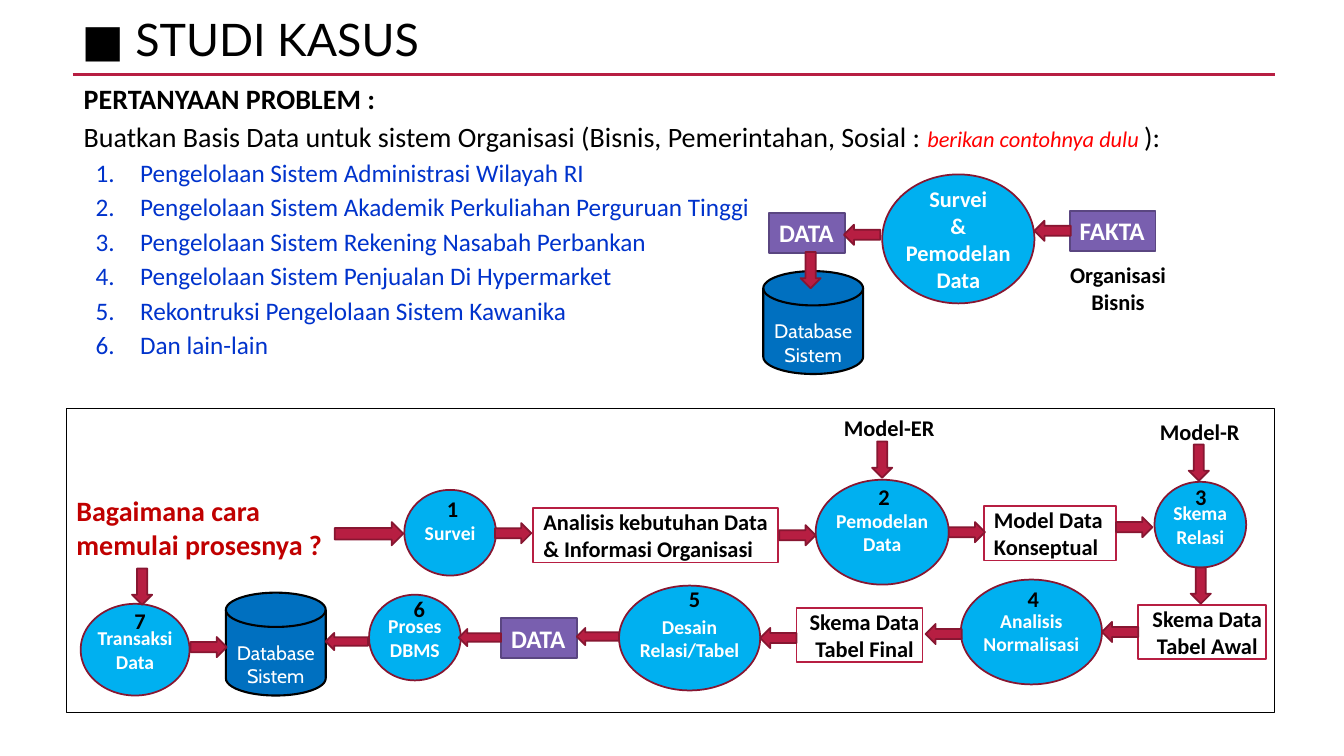
from lxml import etree
from pptx import Presentation
from pptx.dml.color import RGBColor
from pptx.enum.shapes import MSO_CONNECTOR, MSO_SHAPE
from pptx.enum.text import MSO_ANCHOR, MSO_AUTO_SIZE, PP_ALIGN
from pptx.oxml.ns import qn
from pptx.util import Pt

RECT, OVAL = MSO_SHAPE.RECTANGLE, MSO_SHAPE.OVAL
DISK = MSO_SHAPE.FLOWCHART_MAGNETIC_DISK
ARROWS = {"left": MSO_SHAPE.LEFT_ARROW, "right": MSO_SHAPE.RIGHT_ARROW,
          "down": MSO_SHAPE.DOWN_ARROW}
LEFT, CENTER = PP_ALIGN.LEFT, PP_ALIGN.CENTER
TOP, MIDDLE = MSO_ANCHOR.TOP, MSO_ANCHOR.MIDDLE

PX = 9144  # 100 px to the inch
COLORS = {
    "black": "000000", "white": "FFFFFF", "red": "FF0000", "dark red": "C00000",
    "list blue": "0033CC", "crimson": "B71E42", "crimson edge": "871631",
    "sky": "00B0F0", "disk blue": "0070C0", "purple": "795FAF",
    "purple edge": "5A4681",
}

TITLE = "■ STUDI KASUS"
PROBLEM = "PERTANYAAN PROBLEM :"
REQUEST = [
    ("Buatkan Basis Data untuk sistem Organisasi (Bisnis, Pemerintahan, Sosial : ",
     20, "black", False),
    ("berikan contohnya dulu ", 16, "red", True),
    ("):", 20, "black", False),
]
CASES = [
    "Pengelolaan Sistem Administrasi Wilayah RI",
    "Pengelolaan Sistem Akademik Perkuliahan Perguruan Tinggi",
    "Pengelolaan Sistem Rekening Nasabah Perbankan",
    "Pengelolaan Sistem Penjualan Di Hypermarket",
    "Rekontruksi Pengelolaan Sistem Kawanika",
    "Dan lain-lain",
]
# Boxes are (left, top, width, height) in px.
SURVEY = (["Survei", "& Pemodelan Data"], (875, 173, 151, 128))
STEPS = [  # label, ellipse, left and top of its number
    (["Survei"], (401, 486, 91, 85), (430, 491)),
    (["Pemodelan", "Data"], (809, 476, 132, 104), (858, 479)),
    (["Skema", "Relasi"], (1145, 478, 91, 85), (1172, 479)),
    (["Analisis", "Normalisasi"], (953, 575, 140, 104), (1006, 581)),
    (["Desain", "Relasi/Tabel"], (614, 581, 140, 104), (670, 581)),
    (["Proses", "DBMS"], (366, 590, 91, 85), (397, 590)),
    (["Transaksi Data"], (80, 599, 108, 91), (120, 602)),
]
TAGS = [
    ("FAKTA", (1061, 209, 85, 40)),
    ("DATA", (763, 211, 75, 40)),
    ("DATA", (497, 613, 75, 40)),
]
DATABASES = [(757, 269), (224, 588)]
RESULTS = [
    (["Analisis kebutuhan Data & Informasi Organisasi"], (529, 504, 243, 54), LEFT),
    (["Model Data", "Konseptual"], (976, 502, 131, 54), LEFT),
    (["Skema Data Tabel Awal"], (1129, 600, 127, 54), CENTER),
    (["Skema Data", "Tabel Final"], (790, 603, 125, 54), CENTER),
]
NOTES = [
    ("Organisasi Bisnis", (1043, 259, 122, 54)),
    ("Model-ER", (816, 411, 122, 27)),
    ("Model-R", (1124, 415, 122, 27)),
]
QUESTION = ("Bagaimana cara memulai prosesnya ?", (66, 490, 266, 67))
FLOWS = [  # direction, length, thickness, left and top of each arrow
    ("left", 36, 20, [(1026, 219), (837, 223), (1093, 617), (918, 619), (754, 623)]),
    ("left", 42, 17, [(572, 623), (455, 624), (323, 628)]),
    ("right", 36, 20, [(491, 519), (773, 521), (941, 518), (1107, 513), (189, 632)]),
    ("right", 68, 23, [(332, 518)]),
    ("down", 36, 20, [(794, 250), (865, 438), (1179, 441), (1181, 563), (131, 564)]),
]
RULE = (72, 74, 1265, 74)
FRAME = (66, 405, 1198, 302)


def color(name):
    return RGBColor.from_string(COLORS[name])


def emu(values):
    return [value * PX for value in values]


def style(font, size, tint, bold=False, italic=False, name="Calibri"):
    font.name, font.size, font.bold, font.italic = name, Pt(size), bold, italic
    font.color.rgb = color(tint)


def write(box, lines, size, tint, align=CENTER, anchor=TOP, insets=(0, 0, 0, 0),
          bold=True, wrap=True, name="Calibri"):
    """Fill a box with one paragraph per line; insets are left, top, right, bottom."""
    frame = box.text_frame
    frame.word_wrap, frame.vertical_anchor = wrap, anchor
    (frame.margin_left, frame.margin_top,
     frame.margin_right, frame.margin_bottom) = emu(insets)
    frame.text = "\n".join(lines)
    for para in frame.paragraphs:
        para.alignment = align
        style(para.font, size, tint, bold, name=name)


def draw(kind, place, fill, edge, width=1.25):
    shape = slide.shapes.add_shape(kind, *emu(place))
    shape.shadow.inherit = False
    if fill:
        shape.fill.solid()
        shape.fill.fore_color.rgb = color(fill)
    else:
        shape.fill.background()
    shape.line.color.rgb = color(edge)
    shape.line.width = Pt(width)
    return shape


def label(text, place, size=16, tint="black", align=CENTER):
    box = slide.shapes.add_textbox(*emu(place))
    write(box, [text], size, tint, align, insets=(10, 0, 0, 0))


def move(holder, place):
    holder.left, holder.top, holder.width, holder.height = emu(place)


def set_bullet(para, numbered):
    props = para._p.get_or_add_pPr()
    props.set("marL", str(56 * PX if numbered else 0))
    props.set("indent", str(-44 * PX if numbered else 0))
    if numbered:
        etree.SubElement(props, qn("a:buFont"), typeface="+mj-lt")
        etree.SubElement(props, qn("a:buAutoNum"), type="arabicPeriod")
    else:
        etree.SubElement(props, qn("a:buNone"))
    para.alignment = LEFT
    para.space_before, para.space_after = Pt(0), Pt(3)


deck = Presentation()
deck.slide_width, deck.slide_height = emu((1333, 750))
slide = deck.slides.add_slide(deck.slide_layouts[1])

title, body = slide.placeholders
move(title, (71, 15, 1206, 54))
write(title, [TITLE], 32, "black", LEFT, MIDDLE, (10, 5, 10, 5), False, name="Lato")
title.text_frame.auto_size = MSO_AUTO_SIZE.NONE
title.text_frame.paragraphs[0].line_spacing = 0.9

move(body, (73, 76, 1204, 319))
body.text_frame.auto_size = MSO_AUTO_SIZE.NONE
body.text_frame.text = "\n".join([PROBLEM, "", *CASES])
problem, request, *cases = body.text_frame.paragraphs
set_bullet(problem, False)
style(problem.font, 20, "black", True)
set_bullet(request, False)
for text, size, tint, italic in REQUEST:
    span = request.add_run()
    span.text = text
    style(span.font, size, tint, italic=italic)
for case in cases:
    set_bullet(case, True)
    style(case.font, 18, "list blue")

rule = slide.shapes.add_connector(MSO_CONNECTOR.STRAIGHT, *emu(RULE))
rule.line.color.rgb = color("crimson")
rule.line.width = Pt(2.5)
etree.SubElement(rule._element.spPr, qn("a:effectLst"))

for text, place in TAGS:
    write(draw(RECT, place, "purple", "purple edge"), [text], 18, "white", LEFT,
          insets=(10, 5, 10, 5), wrap=False)
for place in DATABASES:
    write(draw(DISK, (*place, 99, 102), "disk blue", "black", 1.5),
          ["Database", "Sistem"], 14, "white", anchor=MIDDLE,
          insets=(10, 28, 10, 5), bold=False, name="Cabin")
for lines, place, align in RESULTS:
    write(draw(RECT, place, None, "crimson"), lines, 16, "black", align,
          insets=(10, 0, 0, 0))

lines, place = SURVEY
write(draw(OVAL, place, "sky", "crimson edge"), lines, 16, "white", anchor=MIDDLE)
for number, (lines, place, corner) in enumerate(STEPS, 1):
    write(draw(OVAL, place, "sky", "crimson edge"), lines, 14, "white", anchor=MIDDLE)
    label(str(number), (*corner, 28, 27))

for direction, length, thickness, corners in FLOWS:
    size = (thickness, length) if direction == "down" else (length, thickness)
    for corner in corners:
        draw(ARROWS[direction], (*corner, *size), "crimson", "crimson edge")

for text, place in NOTES:
    label(text, place)
label(*QUESTION, 20, "dark red", LEFT)
draw(RECT, FRAME, None, "black", 0.25)

deck.save("out.pptx")
